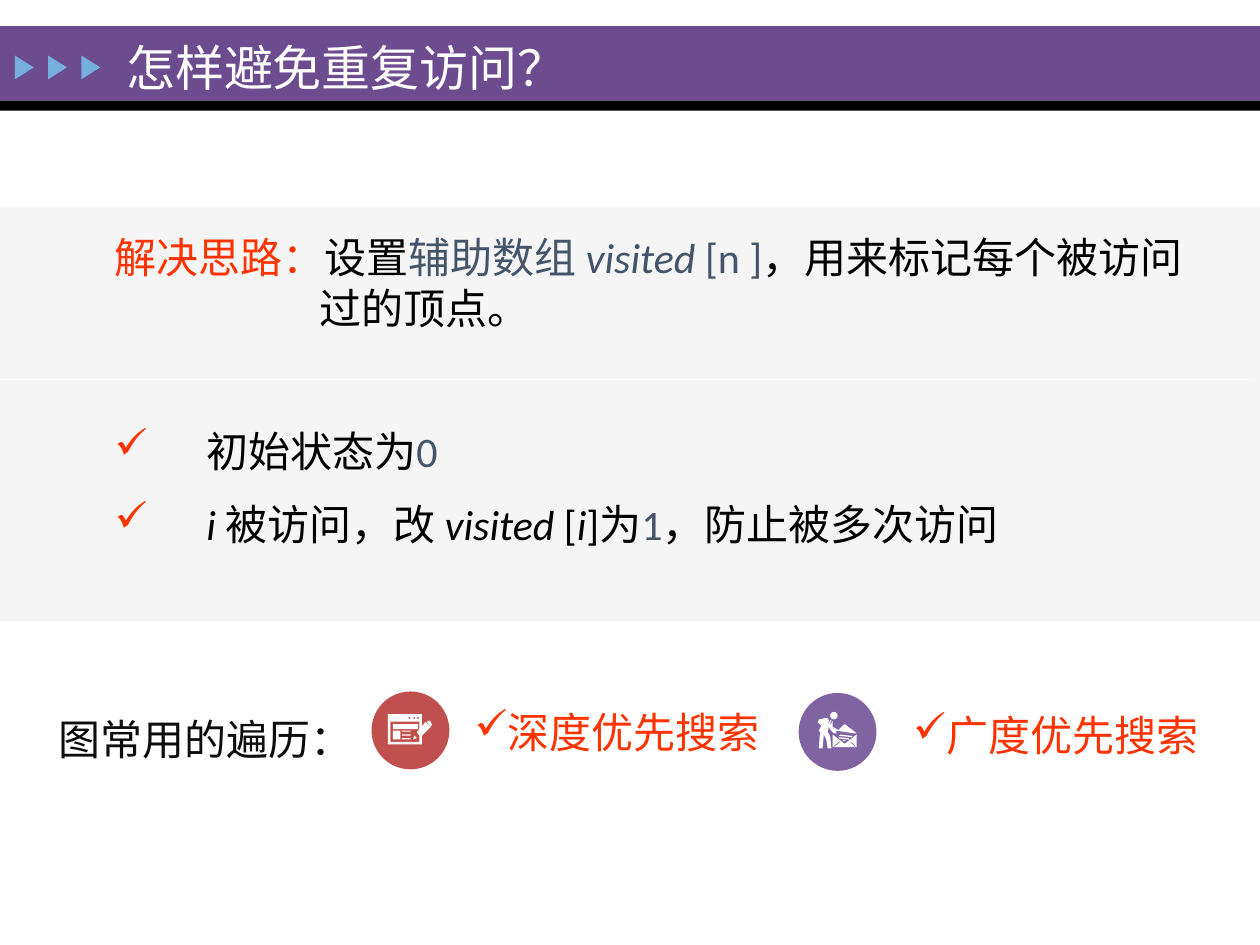
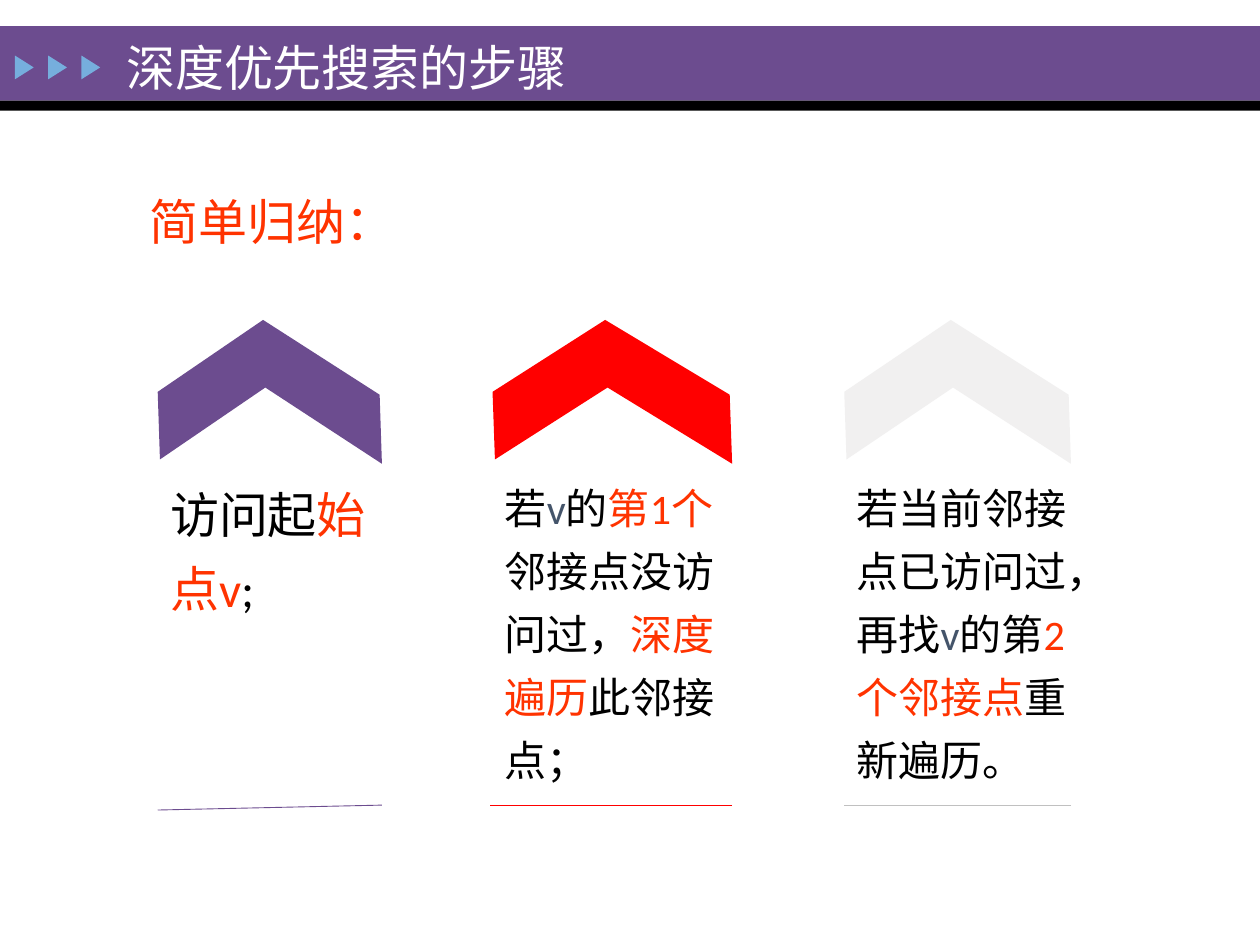
from dataclasses import dataclass
from typing import NamedTuple

from lxml.etree import SubElement
from pptx import Presentation
from pptx.dml.color import RGBColor
from pptx.enum.shapes import MSO_CONNECTOR, MSO_SHAPE as Preset
from pptx.enum.text import MSO_ANCHOR, MSO_AUTO_SIZE as AutoSize, PP_ALIGN
from pptx.oxml.ns import qn
from pptx.util import Cm, Pt

PURPLE = RGBColor(0x6C, 0x4C, 0x8F)
SKY = RGBColor(0x76, 0xAE, 0xDD)
BLACK = RGBColor(0, 0, 0)
WHITE = RGBColor(0xFF, 0xFF, 0xFF)
INK = RGBColor(0x0D, 0x0D, 0x0D)
PANEL = RGBColor(0xF5, 0xF5, 0xF5)
ORANGE = RGBColor(0xFF, 0x33, 0x00)
SLATE = RGBColor(0x44, 0x54, 0x6A)
BRICK = RGBColor(0xC0, 0x50, 0x4D)
VIOLET = RGBColor(0x80, 0x64, 0xA2)
RED = RGBColor(0xFF, 0, 0)
PALE = RGBColor(0xF1, 0xF0, 0xF0)
SILVER = RGBColor(0xC0, 0xC0, 0xC0)

FONT = "Calibri"
SLIDE_WIDTH = 25.4
SLIDE_HEIGHT = 19.05
ICON_SIZE = 1.57
ICON_UNIT = Cm(2.54) / 100
CHEVRON = [(99, 52), (100, 100), (48, 47), (1, 97), (0, 50), (47, 0)]


class Box(NamedTuple):
    left: float
    top: float
    width: float
    height: float

    def lengths(self) -> list:
        return [Cm(value) for value in self]


class Span(NamedTuple):
    text: str
    color: RGBColor = BLACK
    italic: bool = False


@dataclass
class Line:
    spans: list
    size: int = 24
    spacing: float | None = None
    before: float = 0
    hanging: float = 0
    bullet: bool = False


@dataclass
class Icon:
    left: float
    top: float
    color: RGBColor
    outlines: list
    bars: list
    dots: list


@dataclass
class Step:
    left: float
    width: float
    text_width: float
    text_height: float
    fill: RGBColor
    line_color: RGBColor
    line_left: float
    line_left_y: float
    line: Line


def rectangle(left: int, top: int, right: int, bottom: int) -> list:
    return [(left, top), (right, top), (right, bottom), (left, bottom)]


def diamond(x: int, y: int) -> list:
    return [(x - 1, y), (x, y - 1), (x + 1, y), (x, y + 1)]


WINDOW_OUTLINES = [
    [rectangle(13, 18, 40, 42), rectangle(15, 24, 38, 40)]
    + [diamond(x, 21) for x in (30, 34, 37)],
    [[(34, 35), (33, 38), (36, 37)]],
    [[(47, 28), (48, 26), (46, 23), (44, 24)]],
    [[(43, 24), (36, 32), (37, 34), (39, 36), (47, 28)]],
]
WINDOW_BARS = [(17, 26, 20, 4), (17, 31, 6, 7)] + [(24, y, 7, 1) for y in (31, 34, 37)]

READER = [
    (16, 21), (21, 20), (23, 20), (24, 22), (23, 26), (25, 22), (26, 21), (26, 22),
    (24, 26), (26, 24), (27, 22), (27, 27), (31, 29), (31, 30), (36, 25), (37, 25),
    (46, 32), (44, 32), (30, 30), (30, 32), (28, 32), (25, 29), (24, 27), (23, 31),
    (25, 34), (26, 44), (23, 44), (22, 37), (20, 33), (19, 44), (16, 44), (17, 31),
    (16, 30), (18, 26), (16, 24), (15, 24),
]
ENVELOPE = [
    [(37, 40), (46, 33), (46, 43), (27, 43), (27, 33), (36, 40)],
    [(41, 39), (45, 43), (45, 42), (41, 38)],
    [(33, 38), (28, 42), (28, 43), (33, 39)],
]
LETTER_LINES = [
    [[(33, 33), (42, 34), (43, 35), (42, 35), (32, 34)]],
    [[(32, 35), (40, 36), (40, 37), (32, 36)]],
    [[(35, 37), (38, 38), (35, 38)]],
]

ICONS = [
    Icon(7.49, 13.94, BRICK, WINDOW_OUTLINES, WINDOW_BARS, []),
    Icon(16.1, 13.97, VIOLET, [[READER], ENVELOPE] + LETTER_LINES, [], [(25, 15, 6, 6)]),
]

IDEA_LINES = [
    Line([
        Span("解决思路：", ORANGE), Span("设置"), Span("辅助数组 ", SLATE),
        Span("visited", SLATE, True), Span(" [n ]", SLATE),
        Span("，用来标记每个被访问过的顶点。"),
    ], hanging=4.14),
    Line([Span("初始状态为"), Span("0", SLATE)], before=53, hanging=1.85, bullet=True),
    Line([
        Span("i ", italic=True), Span("被访问，改 "), Span("visited", italic=True),
        Span(" ["), Span("i", italic=True), Span("]为"), Span("1", SLATE),
        Span("，防止被多次访问"),
    ], before=13, hanging=1.85, bullet=True),
]

STEPS = [
    Step(3.18, 4.52, 4.52, 3.1, PURPLE, PURPLE, 3.18, 16.33, Line(
        [Span("访问起"), Span("始点v", ORANGE), Span(";")], 28, 1.25)),
    Step(9.93, 4.83, 4.83, 6.65, RED, RED, 9.88, 16.23, Line([
        Span("若"), Span("v", SLATE), Span("的"), Span("第1个", ORANGE),
        Span("邻接点没访问过，"), Span("深度遍历", ORANGE), Span("此邻接点；"),
    ], spacing=1.25)),
    Step(17.02, 4.57, 4.95, 6.65, PALE, SILVER, 17.02, 16.23, Line([
        Span("若当前邻接点已访问过，再找"), Span("v", SLATE), Span("的第"),
        Span("2个邻接点", ORANGE), Span("重新遍历。"),
    ], spacing=1.25)),
]


def paint(shape, color: RGBColor) -> None:
    shape.shadow.inherit = False
    shape.fill.solid()
    shape.fill.fore_color.rgb = color
    shape.line.fill.background()


def add_preset(shapes, preset: Preset, lengths: list, color: RGBColor):
    shape = shapes.add_shape(preset, *lengths)
    paint(shape, color)
    return shape


def add_outline(shapes, contours: list, scale, left: int, top: int, color: RGBColor) -> None:
    builder = shapes.build_freeform(*contours[0][0], scale=scale)
    for index, contour in enumerate(contours):
        if index:
            builder.move_to(*contour[0])
        builder.add_line_segments(contour[1:], close=True)
    paint(builder.convert_to_shape(left, top), color)


def add_rule(shapes, start: tuple, end: tuple, color: RGBColor, width: float) -> None:
    ends = [Cm(value) for value in start + end]
    connector = shapes.add_connector(MSO_CONNECTOR.STRAIGHT, *ends)
    connector.line.color.rgb = color
    connector.line.width = Pt(width)
    SubElement(connector.element.spPr, qn("a:effectLst"))


def format_line(paragraph, line: Line) -> None:
    properties = paragraph._p.get_or_add_pPr()
    properties.set("marL", str(Cm(line.hanging)))
    properties.set("indent", str(-Cm(line.hanging)))
    if line.bullet:
        color = SubElement(properties, qn("a:buClr"))
        SubElement(color, qn("a:srgbClr")).set("val", str(ORANGE))
        SubElement(properties, qn("a:buChar")).set("char", "✓")
    paragraph.alignment = PP_ALIGN.LEFT
    paragraph.space_before = Pt(line.before)
    if line.spacing:
        paragraph.line_spacing = line.spacing
    paragraph.font.name = FONT
    paragraph.font.size = Pt(line.size)
    for span in line.spans:
        run = paragraph.add_run()
        run.text = span.text
        run.font.color.rgb = span.color
        if span.italic:
            run.font.italic = True


def add_text(shapes, box: Box, lines: list) -> None:
    frame = shapes.add_textbox(*box.lengths()).text_frame
    frame.word_wrap = True
    frame.auto_size = AutoSize.SHAPE_TO_FIT_TEXT
    for index, line in enumerate(lines):
        format_line(frame.add_paragraph() if index else frame.paragraphs[0], line)


def add_titled_slide(presentation, text: str, title_width: float):
    slide = presentation.slides.add_slide(presentation.slide_layouts[5])
    shapes = slide.shapes
    add_preset(shapes, Preset.RECTANGLE, Box(0, 0.53, SLIDE_WIDTH, 1.5).lengths(), PURPLE)
    add_preset(shapes, Preset.RECTANGLE, Box(0, 2.03, SLIDE_WIDTH, 0.2).lengths(), BLACK)
    for index in range(3):
        box = Box(0.25 + 0.67 * index, 1.17, 0.48, 0.38)
        arrow = add_preset(shapes, Preset.ISOSCELES_TRIANGLE, box.lengths(), SKY)
        arrow.rotation = 90

    title = shapes.title
    title.element.getparent().append(title.element)
    title.left, title.top, title.width, title.height = Box(2.29, 0.62, title_width, 1.45).lengths()
    frame = title.text_frame
    frame.word_wrap = True
    frame.auto_size = AutoSize.NONE
    frame.vertical_anchor = MSO_ANCHOR.MIDDLE
    format_line(frame.paragraphs[0], Line([Span(text, WHITE)], 28))
    return slide


def add_icon(shapes, icon: Icon) -> None:
    group = shapes.add_group_shape().shapes
    left, top = Cm(icon.left), Cm(icon.top)
    circle = Box(icon.left, icon.top, ICON_SIZE, ICON_SIZE)
    add_preset(group, Preset.OVAL, circle.lengths(), icon.color)
    for contours in icon.outlines:
        add_outline(group, contours, ICON_UNIT, left, top, WHITE)
    for preset, places in ((Preset.RECTANGLE, icon.bars), (Preset.OVAL, icon.dots)):
        for x, y, width, height in places:
            lengths = [left + x * ICON_UNIT, top + y * ICON_UNIT,
                       width * ICON_UNIT, height * ICON_UNIT]
            add_preset(group, preset, [int(length) for length in lengths], WHITE)


def add_step(shapes, step: Step) -> None:
    scale = (Cm(step.width) / 100, Cm(2.9) / 100)
    add_outline(shapes, [CHEVRON], scale, Cm(step.left), Cm(6.45), step.fill)
    add_rule(shapes, (step.left + step.width, 16.23), (step.line_left, step.line_left_y),
             step.line_color, 0.5)
    add_text(shapes, Box(step.left, 9.35, step.text_width, step.text_height), [step.line])


def build_visited_slide(presentation) -> None:
    shapes = add_titled_slide(presentation, "怎样避免重复访问？", 9.47).shapes
    add_preset(shapes, Preset.RECTANGLE, Box(0, 4.17, SLIDE_WIDTH, 8.36).lengths(), PANEL)
    add_text(shapes, Box(0.94, 14, 6.32, 1.42),
             [Line([Span("图常用的遍历：", INK)], spacing=1.25)])
    add_text(shapes, Box(2.06, 4.55, 22.07, 6.93), IDEA_LINES)
    for icon in ICONS:
        add_icon(shapes, icon)
    for text, box in (("深度优先搜索", Box(9.32, 13.87, 8.79, 1.42)),
                      ("广度优先搜索", Box(18.16, 13.92, 6.83, 1.42))):
        add_text(shapes, box, [Line([Span(text, ORANGE)], spacing=1.25, bullet=True)])
    add_rule(shapes, (-0.1, 7.65), (25.3, 7.65), WHITE, 0.75)


def build_steps_slide(presentation) -> None:
    shapes = add_titled_slide(presentation, "深度优先搜索的步骤", 14.2).shapes
    add_text(shapes, Box(2.77, 3.45, 22.53, 1.63),
             [Line([Span("简单归纳：", ORANGE)], 28, 1.25)])
    for step in STEPS:
        add_step(shapes, step)


def main() -> None:
    presentation = Presentation()
    presentation.slide_width = Cm(SLIDE_WIDTH)
    presentation.slide_height = Cm(SLIDE_HEIGHT)
    build_visited_slide(presentation)
    build_steps_slide(presentation)
    presentation.save("out.pptx")


if __name__ == "__main__":
    main()
